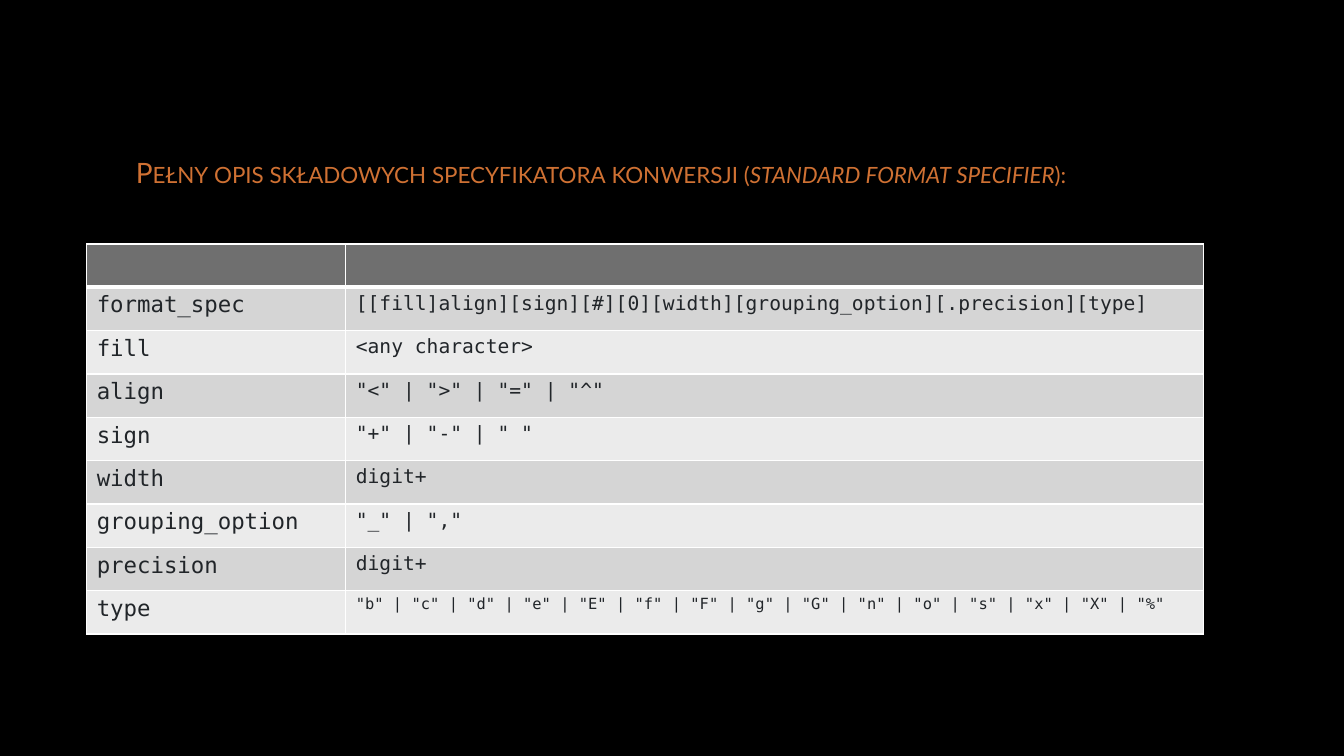
from dataclasses import dataclass

from lxml import etree
from pptx import Presentation
from pptx import oxml
from pptx import util as u
from pptx.dml.color import RGBColor
from pptx.enum import text
from pptx.oxml import ns


@dataclass(frozen=True)
class Theme:
    background: str = "000000"
    accent: str = "CF7133"
    ink: str = "212529"
    border: str = "FFFFFF"
    header: str = "6F6F6F"
    bands: tuple = ("D5D5D5", "EBEBEB")
    title_font: str = "Lato"
    code_font: str = "DejaVu Sans Mono"
    title_size: int = 20
    term_size: int = 16
    rule_size: int = 14
    long_rule_size: int = 11
    line: int = 1
    header_line: int = 3


THEME = Theme()
WIDTH, HEIGHT = u.Inches(13.33), u.Inches(7.5)
ROW = u.Inches(0.43)
COLUMNS = (u.Inches(2.57), u.Inches(8.51))

TITLE = (
    ("Pełny opis składowych specyfikatora konwersji (", False),
    ("standard format specifier", True),
    ("):", False),
)
TYPES = " | ".join(f'"{code}"' for code in "bcdeEfFgGnosxX%")
GRAMMAR = (
    ("format_spec", "[[fill]align][sign][#][0][width][grouping_option][.precision][type]", THEME.rule_size),
    ("fill", "<any character>", THEME.rule_size),
    ("align", '"<" | ">" | "=" | "^"', THEME.rule_size),
    ("sign", '"+" | "-" | " "', THEME.rule_size),
    ("width", "digit+", THEME.rule_size),
    ("grouping_option", '"_" | ","', THEME.rule_size),
    ("precision", "digit+", THEME.rule_size),
    ("type", TYPES, THEME.long_rule_size),
)


def paint(fill, color):
    fill.solid()
    fill.fore_color.rgb = RGBColor.from_string(color)


def add_run(p, words, font, size, color, italic=False):
    r = p.add_run()
    r.text = words
    r.font.size = u.Pt(size)
    r.font.italic = italic
    paint(r.font.fill, color)
    r.font.name = font
    return r


def add_text_shadow(r):
    effects = oxml.parse_xml(
        f'<a:effectLst {ns.nsdecls("a")}>'
        '<a:outerShdw blurRad="38100" dist="38100" dir="2700000">'
        '<a:srgbClr val="000000"><a:alpha val="43000"/></a:srgbClr>'
        '</a:outerShdw></a:effectLst>'
    )
    r.font.fill
    r._r.get_or_add_rPr().find(ns.qn("a:solidFill")).addnext(effects)


def add_title(s):
    sp = s.shapes.add_textbox(
        u.Inches(1.25), u.Inches(0.67), u.Inches(10.83), u.Inches(2.08)
    )
    tf = sp.text_frame
    tf.word_wrap = True
    tf.vertical_anchor = text.MSO_ANCHOR.MIDDLE
    for words, italic in TITLE:
        r = add_run(
            tf.paragraphs[0], words, THEME.title_font, THEME.title_size, THEME.accent, italic
        )
        r._r.get_or_add_rPr().set("cap", "small")
        add_text_shadow(r)


def set_borders(cell, top, bottom):
    tcPr = cell._tc.get_or_add_tcPr()
    widths = {"lnL": THEME.line, "lnR": THEME.line, "lnT": top, "lnB": bottom}
    for side, points in widths.items():
        ln = etree.SubElement(tcPr, ns.qn(f"a:{side}"), w=str(u.Pt(points)))
        solid = etree.SubElement(ln, ns.qn("a:solidFill"))
        etree.SubElement(solid, ns.qn("a:srgbClr"), val=THEME.border)


def style_cell(cell, row):
    top = THEME.header_line if row == 1 else THEME.line
    bottom = THEME.header_line if row == 0 else THEME.line
    set_borders(cell, top, bottom)
    paint(cell.fill, THEME.bands[(row - 1) % 2] if row else THEME.header)


def add_grammar_table(s):
    rows = len(GRAMMAR) + 1
    table = s.shapes.add_table(
        rows, len(COLUMNS), u.Inches(0.86), u.Inches(2.42), sum(COLUMNS), rows * ROW
    ).table
    for column, width in zip(table.columns, COLUMNS):
        column.width = width
    for i, row in enumerate(table.rows):
        row.height = ROW
        for cell in row.cells:
            style_cell(cell, i)
    for i, (term, rule, rule_size) in enumerate(GRAMMAR, 1):
        for j, (words, size) in enumerate(((term, THEME.term_size), (rule, rule_size))):
            p = table.cell(i, j).text_frame.paragraphs[0]
            add_run(p, words, THEME.code_font, size, THEME.ink)


def main():
    prs = Presentation()
    prs.slide_width, prs.slide_height = WIDTH, HEIGHT
    s = prs.slides.add_slide(prs.slide_layouts[6])
    paint(s.background.fill, THEME.background)
    add_title(s)
    add_grammar_table(s)
    prs.save("out.pptx")


if __name__ == "__main__":
    main()
